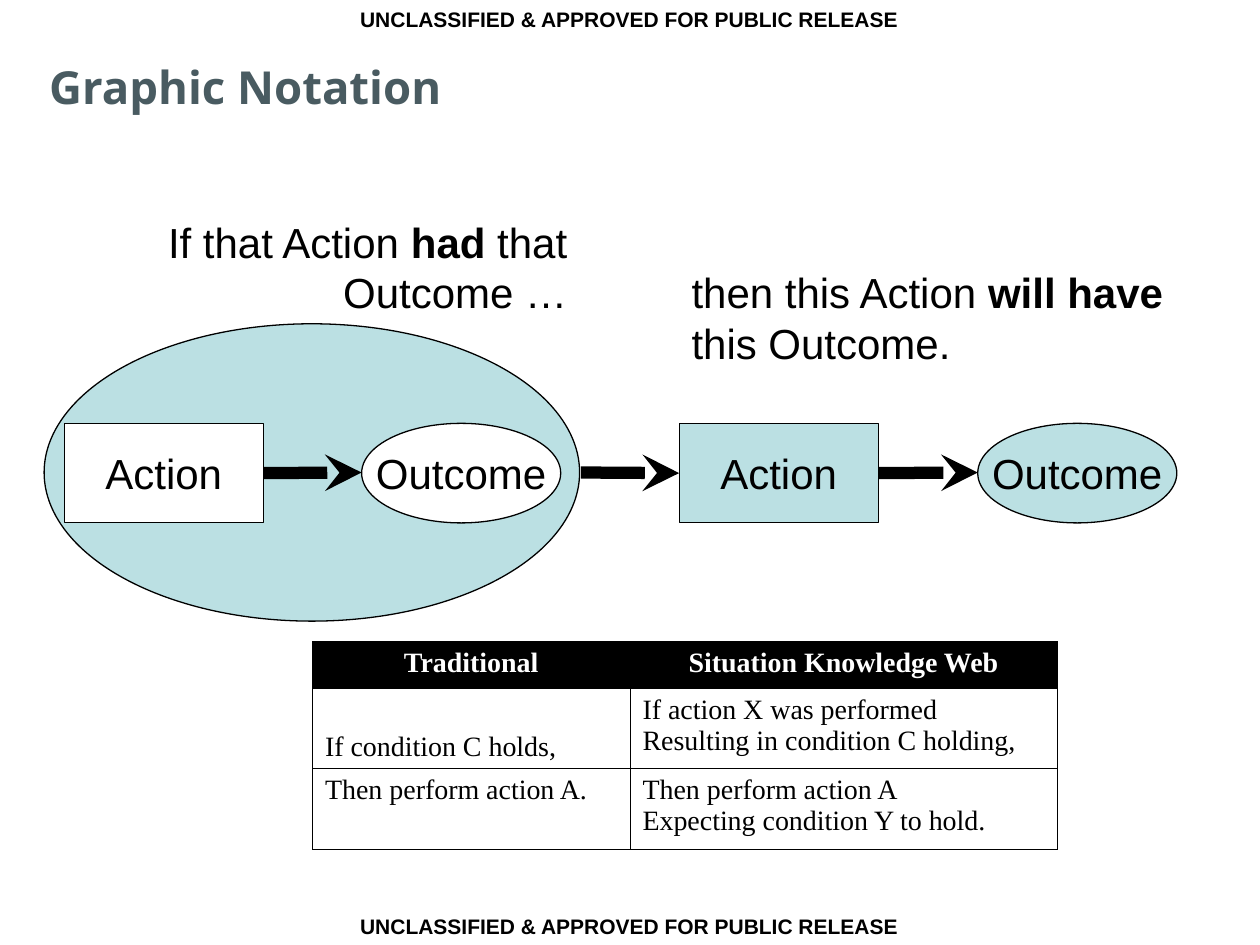
"""Build the Graphic Notation slide."""
from lxml import etree
from pptx import Presentation
from pptx.dml.color import RGBColor
from pptx.enum.shapes import MSO_CONNECTOR, MSO_SHAPE
from pptx.enum.text import MSO_ANCHOR, MSO_AUTO_SIZE, PP_ALIGN
from pptx.oxml import parse_xml
from pptx.oxml.ns import nsdecls, qn
from pptx.util import Inches, Pt

RECT, OVAL = MSO_SHAPE.RECTANGLE, MSO_SHAPE.OVAL
STRAIGHT = MSO_CONNECTOR.STRAIGHT
LEFT, CENTER, RIGHT = PP_ALIGN.LEFT, PP_ALIGN.CENTER, PP_ALIGN.RIGHT
TOP, MIDDLE, BOTTOM = MSO_ANCHOR.TOP, MSO_ANCHOR.MIDDLE, MSO_ANCHOR.BOTTOM
GROW = MSO_AUTO_SIZE.SHAPE_TO_FIT_TEXT
BLACK = RGBColor(0x00, 0x00, 0x00)
WHITE = RGBColor(0xFF, 0xFF, 0xFF)
AQUA = RGBColor(0xBB, 0xE0, 0xE3)
SLATE = RGBColor(0x49, 0x5B, 0x61)

MARKING = "UNCLASSIFIED & APPROVED FOR PUBLIC RELEASE"
NODE_W, NODE_H, NODE_Y = 1.58, 0.79, 3.36
AXIS_Y = 3.75
ROWS = [
    ("Traditional", "Situation Knowledge Web"),
    ("If condition C holds,",
     "If action X was performed\vResulting in condition C holding,"),
    ("Then perform action A.",
     "Then perform action A\vExpecting condition Y to hold."),
]


class Board:
    """Slide with a shared style and one method per kind of element."""

    def __init__(self, slide):
        self.slide = slide
        self.shapes = slide.shapes

    def style(self, p, size, font="Arial", color=BLACK, bold=None, align=LEFT):
        p.alignment = align
        for r in p.runs:
            r.font.size, r.font.name = Pt(size), font
            r.font.color.rgb = color
            if bold is not None:
                r.font.bold = bold

    def title(self, text, x, y, w, h):
        sp = self.slide.shapes.title
        sp.left, sp.top, sp.width, sp.height = map(Inches, (x, y, w, h))
        tf = sp.text_frame
        tf.text = text
        tf.vertical_anchor = TOP
        tf.margin_left = tf.margin_right = 0
        self.style(tf.paragraphs[0], 26, "Noto Sans", SLATE, True)

    def text(self, parts, x, y, w, h, size=24, align=LEFT, wrap=True):
        sp = self.shapes.add_textbox(*map(Inches, (x, y, w, h)))
        tf = sp.text_frame
        tf.word_wrap, tf.auto_size = wrap, GROW
        p = tf.paragraphs[0]
        for text, bold in parts:
            r = p.add_run()
            r.text, r.font.bold = text, bold
        self.style(p, size, align=align)

    def shape(self, kind, x, y, w, h, fill, text=""):
        sp = self.shapes.add_shape(kind, *map(Inches, (x, y, w, h)))
        sp.shadow.inherit = False
        sp.fill.solid()
        sp.fill.fore_color.rgb = fill
        sp.line.color.rgb, sp.line.width = BLACK, Pt(0.75)
        if text:
            tf = sp.text_frame
            tf.text = text
            tf.word_wrap, tf.vertical_anchor = False, MIDDLE
            self.style(tf.paragraphs[0], 24, align=CENTER)
        return sp

    def node(self, kind, x, fill, text):
        return self.shape(kind, x, NODE_Y, NODE_W, NODE_H, fill, text)

    def arrow(self, x1, x2, begin=None, end=None):
        cxn = self.shapes.add_connector(
            STRAIGHT, *map(Inches, (x1, AXIS_Y, x2, AXIS_Y)))
        if begin is not None:
            cxn.begin_connect(begin, 3)
        if end is not None:
            cxn.end_connect(end, 1)
        cxn.line.color.rgb, cxn.line.width = BLACK, Pt(7)
        etree.SubElement(cxn.line._get_or_add_ln(), qn("a:tailEnd"), type="stealth")
        etree.SubElement(cxn._element.spPr, qn("a:effectLst"))

    def borders(self, cell):
        tc_pr = cell._tc.get_or_add_tcPr()
        for i, side in enumerate("LRTB"):
            tc_pr.insert(i, parse_xml(
                f'<a:ln{side} {nsdecls("a")} w="{Pt(0.45)}"><a:solidFill>'
                f'<a:srgbClr val="{BLACK}"/></a:solidFill></a:ln{side}>'))

    def table(self, rows, x, y, widths, heights):
        table = self.shapes.add_table(
            len(rows), len(widths),
            *map(Inches, (x, y, sum(widths), sum(heights)))).table
        table.first_row = table.horz_banding = False
        for col, w in zip(table.columns, widths):
            col.width = Inches(w)
        for row, h, texts in zip(table.rows, heights, rows):
            row.height = Inches(h)
            header = texts is rows[0]
            for cell, text in zip(row.cells, texts):
                cell.fill.solid()
                cell.fill.fore_color.rgb = BLACK if header else WHITE
                self.borders(cell)
                cell.text_frame.text = text
                self.style(cell.text_frame.paragraphs[0], 16, "Times New Roman",
                           WHITE if header else BLACK, header,
                           CENTER if header else LEFT)
        return table


def main():
    prs = Presentation()
    prs.slide_width, prs.slide_height = Inches(10), Inches(7.5)
    s = Board(prs.slides.add_slide(prs.slide_layouts[5]))
    for y in (0, 7.2):
        s.text([(MARKING, True)], 2.76, y, 4.48, 0.3, size=12, wrap=False)
    s.title("Graphic Notation", 0.39, 0.42, 7.09, 0.61)

    s.shapes = s.slide.shapes.add_group_shape().shapes
    s.shape(OVAL, 0.35, 2.57, 4.25, 2.36, AQUA)
    past_action = s.node(RECT, 0.51, WHITE, "Action")
    s.node(OVAL, 2.87, WHITE, "Outcome")
    s.arrow(2.09, 2.87, begin=past_action)

    s.shapes = s.slide.shapes
    next_action = s.node(RECT, 5.39, AQUA, "Action")
    s.node(OVAL, 7.76, AQUA, "Outcome")
    s.arrow(4.61, 5.39, end=next_action)
    s.arrow(6.97, 7.76, begin=next_action)

    s.text([("If that Action ", False), ("had", True), (" that Outcome …", False)],
           0.35, 1.67, 4.25, 0.9, align=RIGHT)
    s.text([("then this Action ", False), ("will have", True),
            (" this Outcome.", False)], 5.39, 2.07, 3.94, 0.9)
    table = s.table(ROWS, 2.48, 5.09, (2.52, 3.39), (0.37, 0.64, 0.64))
    table.cell(1, 0).vertical_anchor = BOTTOM
    prs.save("out.pptx")


if __name__ == "__main__":
    main()
